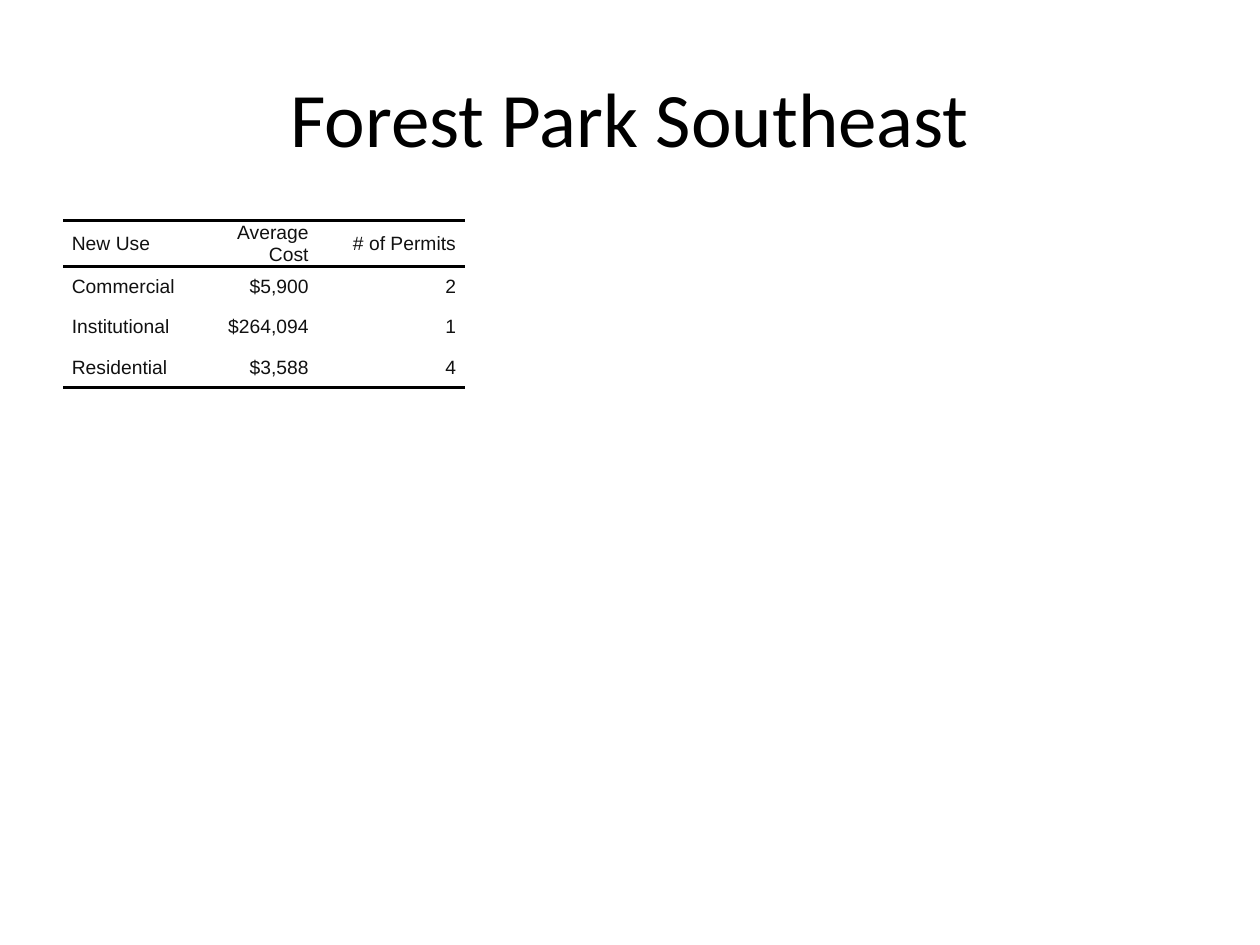
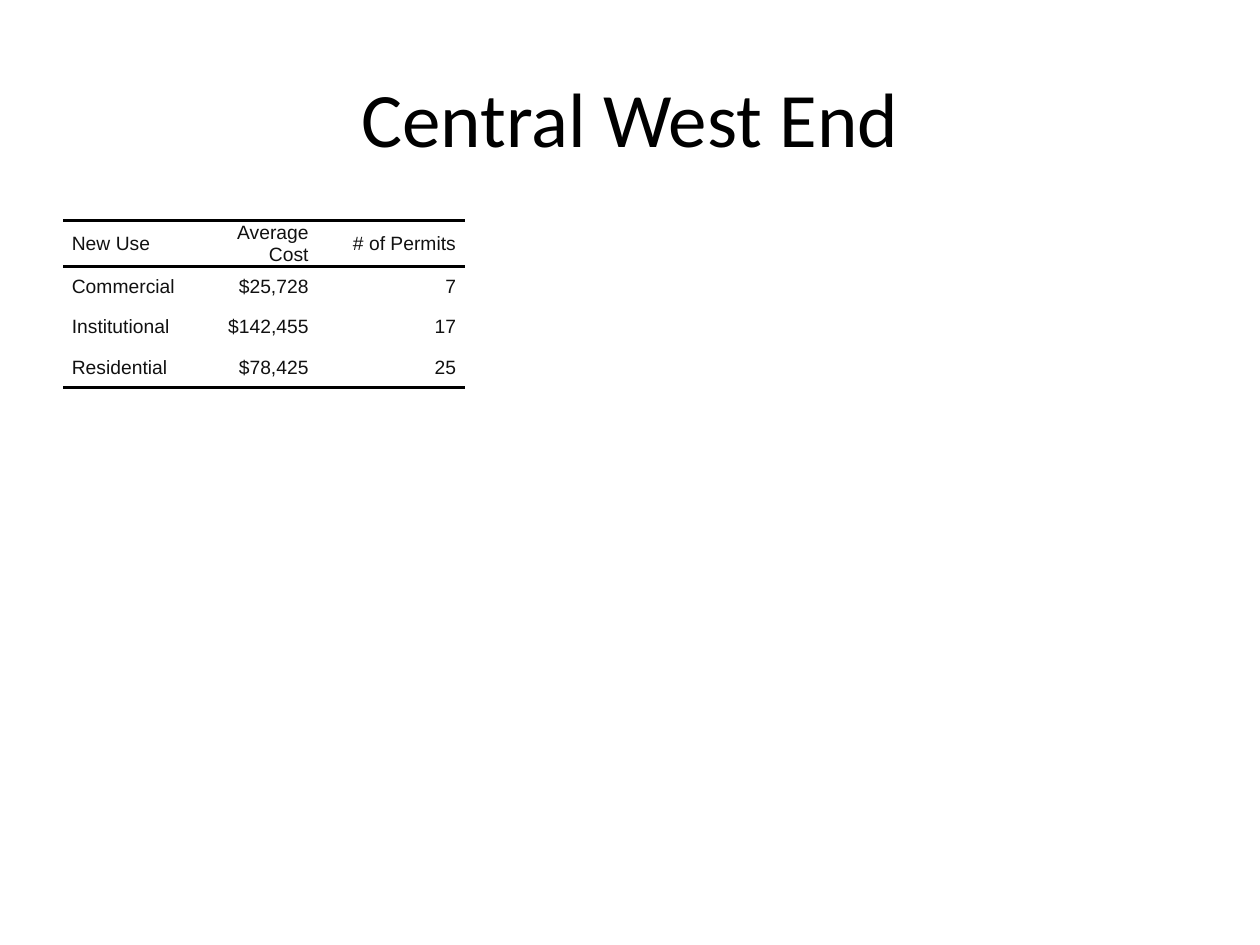
import pptx
import pptx.dml.color
import pptx.enum.text
import pptx.oxml.ns
import pptx.util
from lxml import etree
from pptx.dml.color import RGBColor
from pptx.enum.text import MSO_ANCHOR, PP_ALIGN
from pptx.util import Inches

# Shared style
BLACK = RGBColor(0x00, 0x00, 0x00)
TABLE_TEXT = RGBColor(0x11, 0x11, 0x11)
WHITE = RGBColor(0xFF, 0xFF, 0xFF)
TITLE_FONT, TABLE_FONT = "Calibri", "Arial"
NO_STYLE_NO_GRID = "{2D5ABB26-0587-4C30-8999-92F81FD0307C}"
RULE_WIDTH = pptx.util.Pt(2)
TEXT_INDENT = Inches(0.07)

# Table layout and content
COLUMN_WIDTHS = (1.1, 0.92, 1.17)
ROW_HEIGHTS = (0.31, 0.32, 0.32, 0.32)
HEADINGS = ("New Use", "Average Cost", "# of Permits")
NEIGHBORHOODS = {
    "Forest Park Southeast": (
        ("Commercial", "$5,900", "2"),
        ("Institutional", "$264,094", "1"),
        ("Residential", "$3,588", "4"),
    ),
    "Central West End": (
        ("Commercial", "$25,728", "7"),
        ("Institutional", "$142,455", "17"),
        ("Residential", "$78,425", "25"),
    ),
}


def set_font(paragraph, name, size, color):
    paragraph.font.name = name
    paragraph.font.size = pptx.util.Pt(size)
    paragraph.font.color.rgb = color


def add_title(slide, text):
    shape = slide.shapes.add_textbox(Inches(0.5), Inches(0.3), Inches(9), Inches(1.25))
    frame = shape.text_frame
    frame.word_wrap = True
    frame.vertical_anchor = MSO_ANCHOR.MIDDLE
    paragraph = frame.paragraphs[0]
    paragraph.text = text
    paragraph.alignment = PP_ALIGN.CENTER
    set_font(paragraph, TITLE_FONT, 44, BLACK)


def add_rule(cell, edge):
    """Draw a black border on one edge: lnT (top) or lnB (bottom)."""
    qn = pptx.oxml.ns.qn
    properties = cell._tc.get_or_add_tcPr()
    line = etree.SubElement(properties, qn(f"a:{edge}"), w=str(RULE_WIDTH))
    fill = etree.SubElement(line, qn("a:solidFill"))
    etree.SubElement(fill, qn("a:srgbClr"), val=str(BLACK))


def fill_cell(cell, text, alignment):
    cell.margin_left = cell.margin_right = cell.margin_top = cell.margin_bottom = 0
    cell.vertical_anchor = MSO_ANCHOR.MIDDLE
    cell.fill.background()
    paragraph = cell.text_frame.paragraphs[0]
    paragraph.text = text
    paragraph.alignment = alignment
    paragraph.space_before = paragraph.space_after = pptx.util.Pt(2)
    properties = paragraph._p.get_or_add_pPr()
    for side in ("marL", "marR"):
        properties.set(side, str(TEXT_INDENT))
    set_font(paragraph, TABLE_FONT, 11, TABLE_TEXT)


def add_permit_table(slide, records):
    rows = (HEADINGS, *records)
    table = slide.shapes.add_table(
        len(rows), len(HEADINGS), Inches(0.5), Inches(1.75),
        Inches(sum(COLUMN_WIDTHS)), Inches(sum(ROW_HEIGHTS))).table
    table.first_row = table.horz_banding = False
    table._tbl.tblPr.find(pptx.oxml.ns.qn("a:tableStyleId")).text = NO_STYLE_NO_GRID
    for column, width in zip(table.columns, COLUMN_WIDTHS):
        column.width = Inches(width)
    for row, height in zip(table.rows, ROW_HEIGHTS):
        row.height = Inches(height)

    for row_index, values in enumerate(rows):
        for column_index, text in enumerate(values):
            cell = table.cell(row_index, column_index)
            if row_index == 0:
                add_rule(cell, "lnT")
            if row_index in (0, len(rows) - 1):
                add_rule(cell, "lnB")
            fill_cell(cell, text, PP_ALIGN.RIGHT if column_index else PP_ALIGN.LEFT)


def main():
    presentation = pptx.Presentation()
    presentation.slide_width = Inches(10)
    presentation.slide_height = Inches(7.5)
    for name, records in NEIGHBORHOODS.items():
        slide = presentation.slides.add_slide(presentation.slide_layouts[6])
        slide.background.fill.solid()
        slide.background.fill.fore_color.rgb = WHITE
        add_title(slide, name)
        add_permit_table(slide, records)
    presentation.save("out.pptx")


if __name__ == "__main__":
    main()
